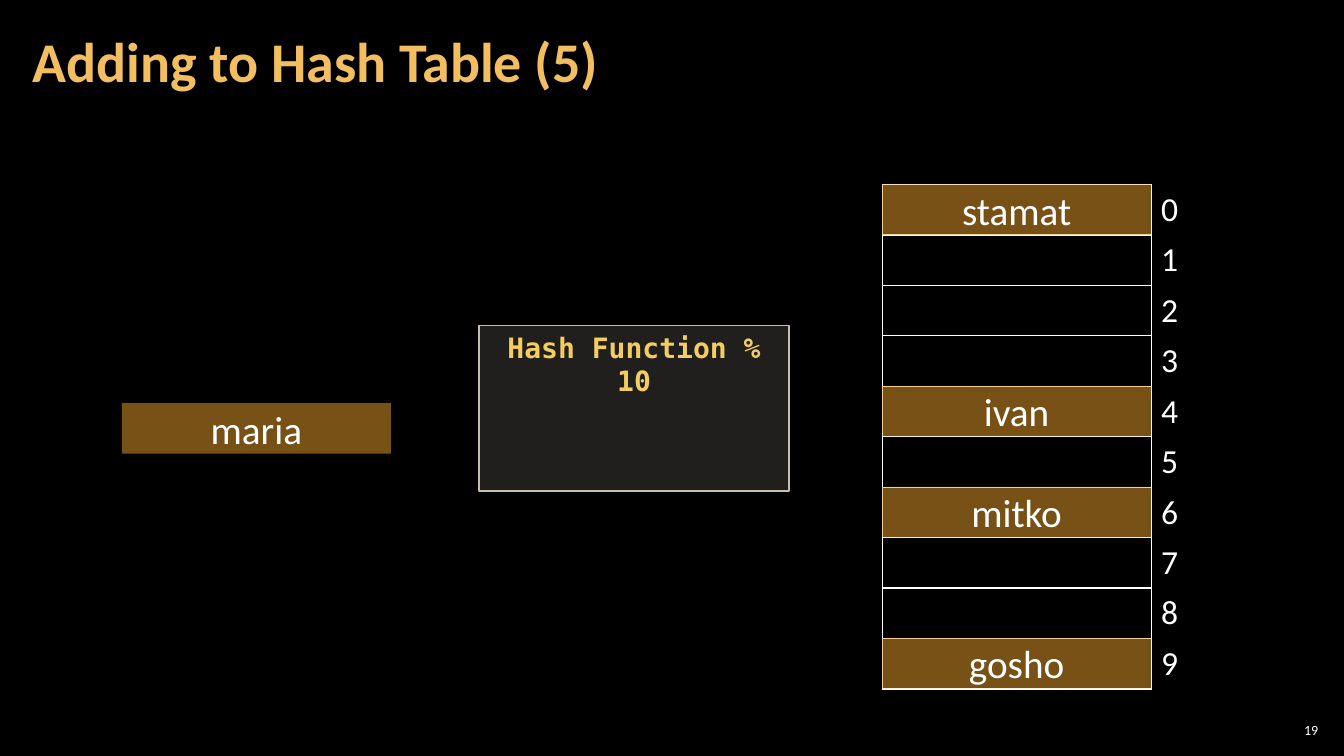
from lxml import etree
from pptx import Presentation
from pptx import util as u
from pptx.dml.color import RGBColor
from pptx.enum import shapes, text
from pptx.oxml import ns

BLACK = RGBColor(0x00, 0x00, 0x00)
WHITE = RGBColor(0xFF, 0xFF, 0xFF)
GOLD = RGBColor(0xF3, 0xBE, 0x60)
YELLOW = RGBColor(0xF3, 0xCD, 0x60)
AMBER = RGBColor(0xF0, 0xA2, 0x2E)
SAND = RGBColor(0xD9, 0xD5, 0xC7)
EDGE = RGBColor(0xC7, 0xBF, 0xAC)

SANS, MONO = "Calibri", "DejaVu Sans Mono"
LEFT, MID, RIGHT = text.PP_ALIGN.LEFT, text.PP_ALIGN.CENTER, text.PP_ALIGN.RIGHT
SLOT_W, SLOT_H = 6.78, 1.27
SLOTS = 10
NAMES = {0: "stamat", 4: "ivan", 6: "mitko", 9: "gosho"}


def span(*box):
    return [u.Cm(v) for v in box]


def write(frame, words, align, **font):
    frame.word_wrap = True
    para = frame.paragraphs[0]
    para.alignment = align
    run = para.add_run()
    run.text = words
    color = font.pop("color", WHITE)
    for key, value in {"name": SANS, **font}.items():
        setattr(run.font, key, value)
    run.font.color.rgb = color
    return para


def tint(shape, color, alpha):
    """Fill the shape with a see-through colour and drop its shadow."""
    shape.shadow.inherit = False
    shape.fill.solid()
    shape.fill.fore_color.rgb = color
    clr = shape.fill._xPr.find(".//" + ns.qn("a:srgbClr"))
    etree.SubElement(clr, ns.qn("a:alpha"), val=str(alpha * 1000))


def label(slide, box, words, align, pad, **font):
    frame = slide.shapes.add_textbox(*span(*box)).text_frame
    frame.vertical_anchor = text.MSO_ANCHOR.MIDDLE
    margins = {"left": pad, "right": pad, "top": 0.1, "bottom": 0.1}
    for side, gap in margins.items():
        setattr(frame, "margin_" + side, u.Cm(gap))
    return write(frame, words, align, **font)


def entry(slide, left, top, name):
    kind = shapes.MSO_SHAPE.FLOWCHART_PROCESS
    shape = slide.shapes.add_shape(kind, *span(left, top, SLOT_W, SLOT_H))
    tint(shape, AMBER, 50)
    shape.line.fill.background()
    shape.text_frame.vertical_anchor = text.MSO_ANCHOR.MIDDLE
    write(shape.text_frame, name, MID, size=u.Pt(28))


def border(cell, sides):
    """Draw white lines on the given sides and none on the others."""
    props = cell._tc.get_or_add_tcPr()
    for spot, side in enumerate("LRTB"):
        line = etree.Element(ns.qn("a:ln" + side), w=str(u.Pt(1)))
        if side in sides:
            fill = etree.SubElement(line, ns.qn("a:solidFill"))
            etree.SubElement(fill, ns.qn("a:srgbClr"), val=str(WHITE))
        else:
            etree.SubElement(line, ns.qn("a:noFill"))
        props.insert(spot, line)


def array(slide, left, top):
    """Numbered slots, with the stored names laid over them."""
    box = span(left, top, SLOT_W + 1.42, SLOTS * SLOT_H)
    table = slide.shapes.add_table(SLOTS, 2, *box).table
    table.first_row = table.horz_banding = False
    for col, width in zip(table.columns, (SLOT_W, 1.42)):
        col.width = u.Cm(width)
    for row in range(SLOTS):
        table.rows[row].height = u.Cm(SLOT_H)
        for col, sides in enumerate(("LRTB", "L")):
            cell = table.cell(row, col)
            cell.fill.background()
            border(cell, sides)
        write(cell.text_frame, str(row), LEFT, size=u.Pt(24))
    for row, name in NAMES.items():
        entry(slide, left, top + row * SLOT_H, name)


def hasher(slide, left, top, width, height):
    group = slide.shapes.add_group_shape().shapes
    panel = group.add_shape(shapes.MSO_SHAPE.RECTANGLE, *span(left, top, width, height))
    tint(panel, SAND, 15)
    panel.line.color.rgb = EDGE
    panel.line.width = u.Pt(1)
    head = group.add_textbox(*span(left, top, width, 1.12))
    write(head.text_frame, "Hash Function % 10", MID,
          name=MONO, size=u.Pt(20), bold=True, color=YELLOW)


def main():
    deck = Presentation()
    deck.slide_width, deck.slide_height = span(33.87, 19.05)
    slide = deck.slides.add_slide(deck.slide_layouts[6])
    slide.background.fill.solid()
    slide.background.fill.fore_color.rgb = BLACK

    label(slide, (32.13, 18.14, 1.19, 0.53), "19", RIGHT, 0.1, size=u.Pt(10))
    title = label(slide, (0.53, 0.1, 26.6, 3.07), "Adding to Hash Table (5)",
                  LEFT, 0.3, size=u.Pt(40), bold=True, color=GOLD)
    title.line_spacing = 0.9
    array(slide, 22.23, 4.65)
    hasher(slide, 12.07, 8.2, 7.82, 4.17)
    entry(slide, 3.07, 10.16, "maria")
    deck.save("out.pptx")


if __name__ == "__main__":
    main()
